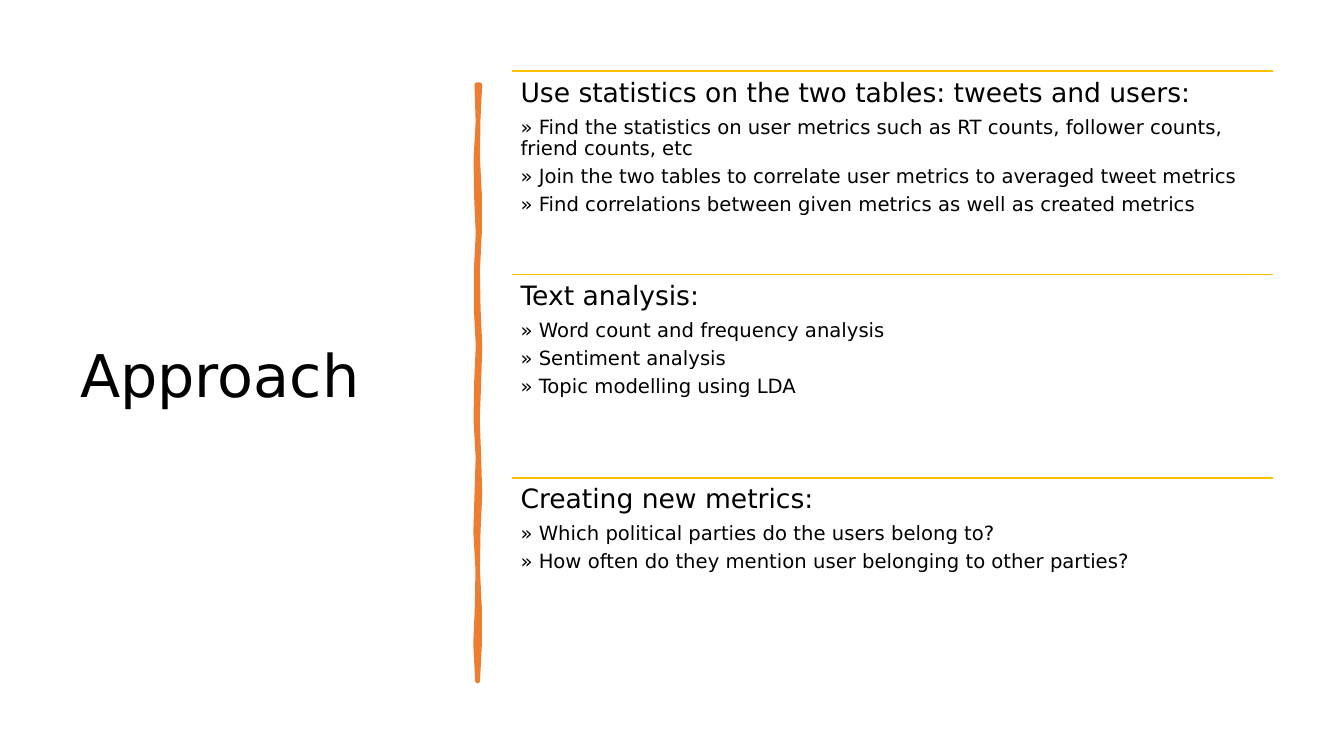
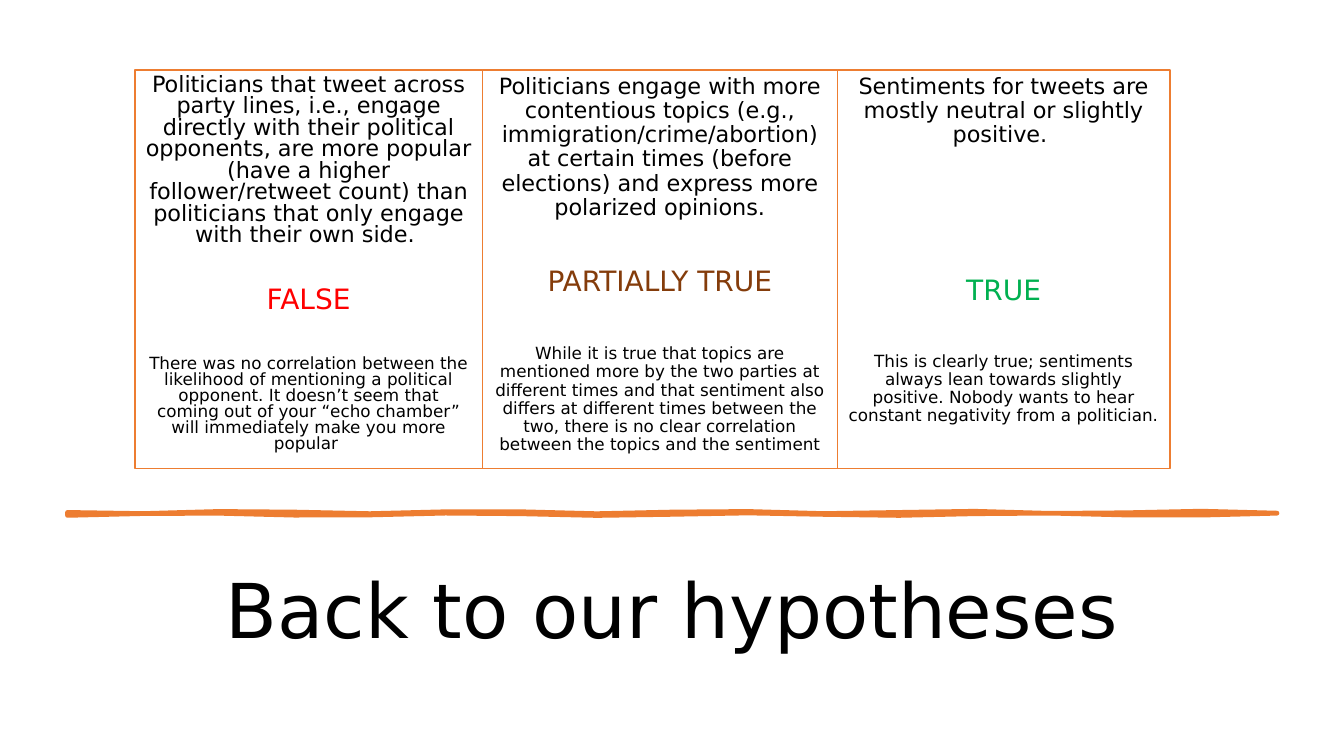
from math import sin

from pptx import Presentation
from pptx.dml.color import RGBColor
from pptx.enum.shapes import MSO_CONNECTOR, MSO_SHAPE
from pptx.enum.text import MSO_ANCHOR as Anchor, PP_ALIGN as Align
from pptx.oxml.ns import qn
from pptx.util import Pt
from lxml.etree import SubElement

FONT = "DejaVu Sans"
BLACK = RGBColor(0x00, 0x00, 0x00)
WHITE = RGBColor(0xFF, 0xFF, 0xFF)
ORANGE = RGBColor(0xED, 0x7D, 0x31)
GOLD = RGBColor(0xFF, 0xC0, 0x00)
RED = RGBColor(0xFF, 0x00, 0x00)
BROWN = RGBColor(0x84, 0x3C, 0x0B)
GREEN = RGBColor(0x00, 0xB0, 0x50)
BRUSH_STEPS = 16


def write(shape, lines, anchor, align, spacing):
    frame = shape.text_frame
    frame.word_wrap = True
    frame.vertical_anchor = anchor
    frame.text = "\n".join(text for text, *_ in lines)
    for paragraph, (_, size, color, before, after) in zip(frame.paragraphs, lines):
        paragraph.alignment = align
        paragraph.line_spacing = spacing
        paragraph.space_before = Pt(before)
        paragraph.space_after = Pt(after)
        font = paragraph.runs[0].font
        font.name = FONT
        font.size = Pt(size)
        font.color.rgb = color


def add_title_and_brush(slide, title, box, size, align, brush, vertical):
    title_box = slide.shapes.add_textbox(*map(Pt, box))
    write(title_box, [(title, size, BLACK, 0, 0)], Anchor.MIDDLE, align, 0.9)

    left, top, length = brush
    knots = range(BRUSH_STEPS + 1)
    step = length / BRUSH_STEPS
    upper = [(knot * step, 0.9 * sin(2 * knot)) for knot in knots]
    lower = [(knot * step, 1.4 + 0.9 * sin(1.7 * knot + 2)) for knot in knots]
    outline = upper + lower[::-1]
    if vertical:
        outline = [(across, along) for along, across in outline]
    points = [(Pt(left + x), Pt(top + y)) for x, y in outline]
    builder = slide.shapes.build_freeform(*points[0])
    builder.add_line_segments(points[1:], close=True)
    stroke = builder.convert_to_shape()
    stroke.shadow.inherit = False
    stroke.fill.solid()
    stroke.fill.fore_color.rgb = ORANGE
    stroke.line.color.rgb = ORANGE
    stroke.line.width = Pt(3.25)
    SubElement(stroke.line._get_or_add_ln(), qn("a:round"))


presentation = Presentation()
presentation.slide_width = Pt(960)
presentation.slide_height = Pt(540)
blank = presentation.slide_layouts[6]

slide = presentation.slides.add_slide(blank)
add_title_and_brush(slide, "Approach", (50.2, 50.4, 269.3, 440), 42,
                    Align.LEFT, (340.6, 60.5, 426), True)

SECTIONS = [
    ("Use statistics on the two tables: tweets and users:", [
        "Find the statistics on user metrics such as RT counts, follower counts, friend counts, etc",
        "Join the two tables to correlate user metrics to averaged tweet metrics",
        "Find correlations between given metrics as well as created metrics"]),
    ("Text analysis:", [
        "Word count and frequency analysis",
        "Sentiment analysis",
        "Topic modelling using LDA"]),
    ("Creating new metrics:", [
        "Which political parties do the users belong to?",
        "How often do they mention user belonging to other parties?"]),
]
SECTION_LEFT, SECTION_WIDTH, SECTION_HEIGHT = 366, 543.6, 145.3

for index, (heading, points) in enumerate(SECTIONS):
    top = 50.7 + index * SECTION_HEIGHT
    rule = slide.shapes.add_connector(
        MSO_CONNECTOR.STRAIGHT, Pt(SECTION_LEFT), Pt(top),
        Pt(SECTION_LEFT + SECTION_WIDTH), Pt(top))
    rule.line.color.rgb = GOLD
    rule.line.width = Pt(1)
    SubElement(rule._element.spPr, qn("a:effectLst"))

    section = slide.shapes.add_textbox(
        Pt(SECTION_LEFT), Pt(top), Pt(SECTION_WIDTH), Pt(SECTION_HEIGHT))
    frame = section.text_frame
    frame.margin_left = frame.margin_right = Pt(5.8)
    frame.margin_top = frame.margin_bottom = Pt(5.8)
    lines = [(heading, 19, BLACK, 0, 6.65)]
    lines += [("» " + point, 14, BLACK, 0, 4.9) for point in points]
    write(section, lines, Anchor.TOP, Align.LEFT, 0.9)

slide = presentation.slides.add_slide(blank)
add_title_and_brush(slide, "Back to our hypotheses", (50.2, 386.6, 859.7, 103.7), 54,
                    Align.CENTER, (48.2, 366, 864), False)

HYPOTHESES = [
    (248.4, 0.8, 29.4, 29.4, RED, "FALSE",
     "Politicians that tweet across party lines, i.e., engage directly with their political "
     "opponents, are more popular (have a higher follower/retweet count) than politicians "
     "that only engage with their own side. ",
     "There was no correlation between the likelihood of mentioning a political opponent. "
     "It doesn’t seem that coming out of your “echo chamber” will immediately make you "
     "more popular "),
    (253.4, 0.9, 33.9, 33.9, BROWN, "PARTIALLY TRUE",
     "Politicians engage with more contentious topics (e.g., immigration/crime/abortion) "
     "at certain times (before elections) and express more polarized opinions.",
     "While it is true that topics are mentioned more by the two parties at different times "
     "and that sentiment also differs at different times between the two, there is no clear "
     "correlation between the topics and the sentiment"),
    (237.6, 0.9, 91.9, 33, GREEN, "TRUE",
     "Sentiments for tweets are mostly neutral or slightly positive. ",
     "This is clearly true; sentiments always lean towards slightly positive. Nobody wants "
     "to hear constant negativity from a politician."),
]

left = 96.3
for width, spacing, verdict_gap, reason_gap, color, verdict, claim, reason in HYPOTHESES:
    card = slide.shapes.add_shape(
        MSO_SHAPE.RECTANGLE, Pt(left), Pt(50.1), Pt(width), Pt(284.4))
    card.shadow.inherit = False
    card.fill.solid()
    card.fill.fore_color.rgb = WHITE
    card.line.color.rgb = ORANGE
    card.line.width = Pt(1)
    lines = [(claim, 16, BLACK, 0, 0),
             (verdict, 20, color, verdict_gap, 0),
             (reason, 12, BLACK, reason_gap, 0)]
    write(card, lines, Anchor.TOP, Align.CENTER, spacing)
    left += width

presentation.save("out.pptx")
